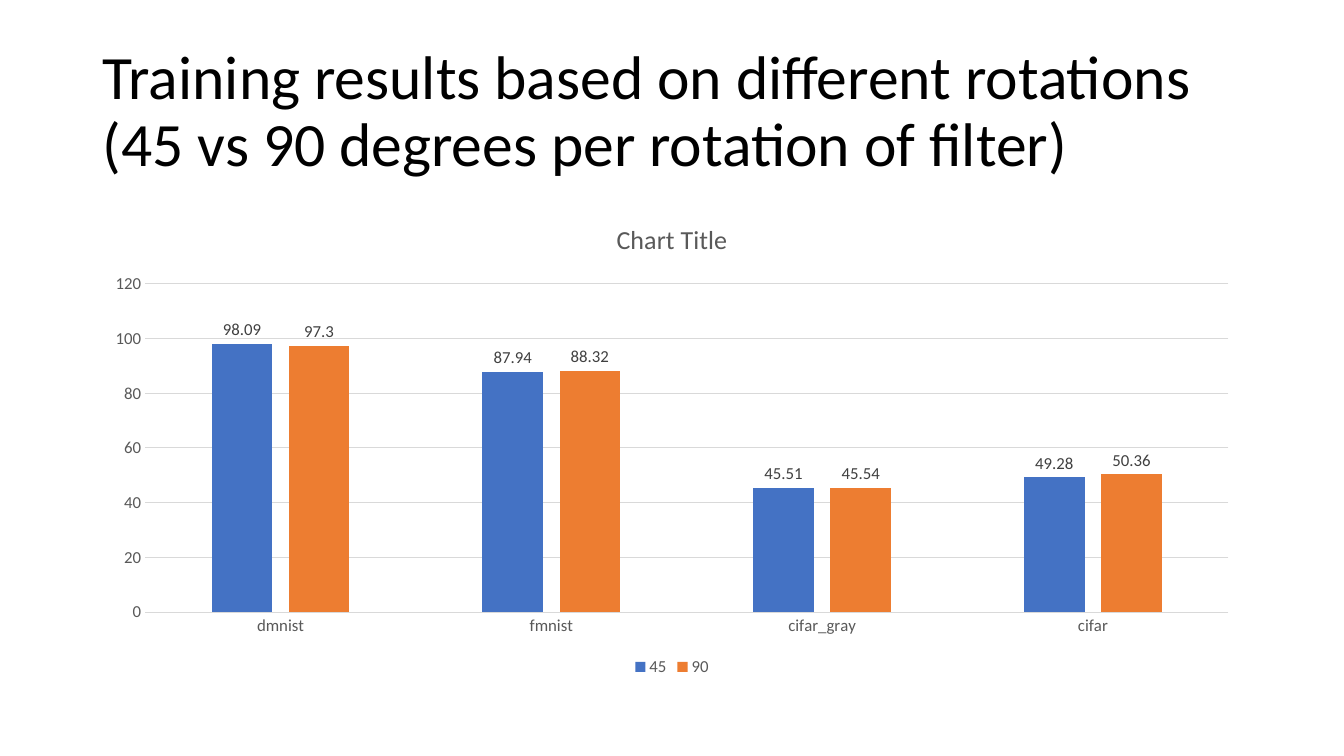
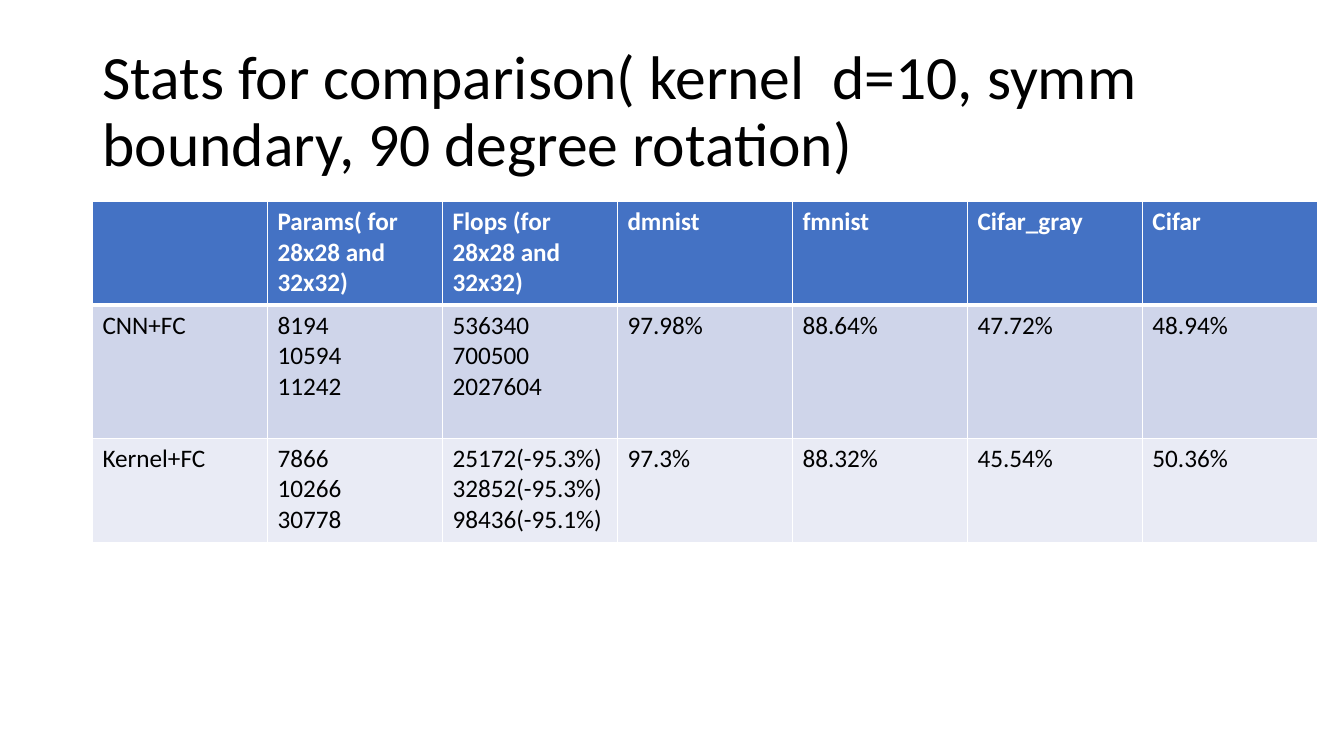
"""Build two slides comparing training results of rotated filter kernels."""
from lxml import etree
from pptx import Presentation
from pptx import util as u
from pptx.chart import data as chart_data
from pptx.dml import color
from pptx.enum import chart as ch
from pptx.enum import text
from pptx.oxml import ns

FONT = "Calibri"
COLOURS = {
    "title": "000000", "body": "000000", "white": "FFFFFF",
    "axis": "595959", "label": "404040", "grid": "D9D9D9",
    "blue": "4472C4", "orange": "ED7D31",
    "band_dark": "CFD5EA", "band_light": "E9EBF5",
}
TITLE_BOX = (u.Cm(2.33), u.Cm(1.01), u.Cm(29.21), u.Cm(3.68))
CHART_BOX = (u.Cm(2.33), u.Cm(5.07), u.Cm(29.21), u.Cm(12.09))
TABLE_BOX = (u.Cm(2.33), u.Cm(5.07), u.Cm(30.87), u.Cm(8.59))
ROW_HEIGHTS = (u.Cm(2.62), u.Cm(3.35), u.Cm(2.62))

DATASETS = ("dmnist", "fmnist", "cifar_gray", "cifar")
ACCURACY = (
    ("45", (98.09, 87.94, 45.51, 49.28), "blue"),
    ("90", (97.3, 88.32, 45.54, 50.36), "orange"),
)
STATS = (
    ("", "Params( for 28x28 and 32x32)", "Flops (for 28x28 and 32x32)",
     "dmnist", "fmnist", "Cifar_gray", "Cifar"),
    ("CNN+FC", "8194\n10594\n11242", "536340\n700500\n2027604",
     "97.98%", "88.64%", "47.72%", "48.94%"),
    ("Kernel+FC", "7866\n10266\n30778",
     "25172(-95.3%)\n32852(-95.3%)\n98436(-95.1%)",
     "97.3%", "88.32%", "45.54%", "50.36%"),
)
ROW_STYLES = (("blue", "white", True), ("band_dark", "body", False),
              ("band_light", "body", False))


def rgb(name):
    """Return the named palette colour."""
    return color.RGBColor.from_string(COLOURS[name])


def style_font(font, size, colour, bold=False):
    """Apply the deck's typeface with a size, colour and weight."""
    font.name = FONT
    font.size = u.Pt(size)
    font.bold = bold
    font.color.rgb = rgb(colour)


def style_runs(frame, size, colour, bold=False):
    """Format every run of a text frame alike."""
    for paragraph in frame.paragraphs:
        for run in paragraph.runs:
            style_font(run.font, size, colour, bold)


def add_titled_slide(deck, heading):
    """Add a title-only slide with the shared title style."""
    slide = deck.slides.add_slide(deck.slide_layouts[5])
    title = slide.shapes.title
    title.left, title.top, title.width, title.height = TITLE_BOX
    frame = title.text_frame
    frame.text = heading
    frame.auto_size = text.MSO_AUTO_SIZE.NONE
    frame.vertical_anchor = text.MSO_ANCHOR.MIDDLE
    frame.paragraphs[0].alignment = text.PP_ALIGN.LEFT
    frame.paragraphs[0].line_spacing = 0.9
    style_runs(frame, 44, "title")
    return slide


def style_axes(chart):
    """Give both axes grey text, no ticks and light lines."""
    categories, values = chart.category_axis, chart.value_axis
    for axis in (categories, values):
        axis.major_tick_mark = axis.minor_tick_mark = ch.XL_TICK_MARK.NONE
        style_font(axis.tick_labels.font, 12, "axis")
    values.minimum_scale, values.maximum_scale, values.major_unit = 0, 120, 20
    values.format.line.fill.background()
    for line in (categories.format.line, values.major_gridlines.format.line):
        line.color.rgb = rgb("grid")
        line.width = u.Pt(0.75)


def add_accuracy_chart(slide, box):
    """Place the clustered columns of accuracy per dataset in the box."""
    accuracy = chart_data.CategoryChartData()
    accuracy.categories = DATASETS
    for name, values, _ in ACCURACY:
        accuracy.add_series(name, values)
    chart = slide.shapes.add_chart(
        ch.XL_CHART_TYPE.COLUMN_CLUSTERED, *box, accuracy).chart
    style_font(chart.font, 10, "body")
    chart.has_title = True
    chart.chart_title.include_in_layout = False
    chart.chart_title.text_frame.text = "Chart Title"
    style_runs(chart.chart_title.text_frame, 18.6, "axis")
    chart.has_legend = True
    chart.legend.position = ch.XL_LEGEND_POSITION.BOTTOM
    chart.legend.include_in_layout = False
    style_font(chart.legend.font, 12, "axis")
    style_axes(chart)
    columns = chart.plots[0]
    columns.vary_by_categories = False
    columns.gap_width, columns.overlap = 219, -27
    for series, (_, _, colour) in zip(columns.series, ACCURACY):
        series.format.fill.solid()
        series.format.fill.fore_color.rgb = rgb(colour)
        labels = series.data_labels
        labels.show_value = True
        labels.position = ch.XL_LABEL_POSITION.OUTSIDE_END
        style_font(labels.font, 12, "label")


def add_borders(cell, bottom):
    """Draw white cell borders with the given bottom width in points."""
    properties = cell._tc.get_or_add_tcPr()
    for side, width in (("L", 1), ("R", 1), ("T", 1), ("B", bottom)):
        line = etree.SubElement(properties, ns.qn(f"a:ln{side}"),
                                w=str(u.Pt(width)))
        fill = etree.SubElement(line, ns.qn("a:solidFill"))
        etree.SubElement(fill, ns.qn("a:srgbClr"), val=COLOURS["white"])


def add_stats_table(slide, box):
    """Place the model comparison table in the box."""
    table = slide.shapes.add_table(len(STATS), len(STATS[0]), *box).table
    for row, height in zip(table.rows, ROW_HEIGHTS):
        row.height = height
    for r, (entries, (fill, ink, bold)) in enumerate(zip(STATS, ROW_STYLES)):
        for c, entry in enumerate(entries):
            cell = table.cell(r, c)
            add_borders(cell, 3 if r == 0 else 1)
            cell.fill.solid()
            cell.fill.fore_color.rgb = rgb(fill)
            cell.text_frame.text = entry
            style_runs(cell.text_frame, 18, ink, bold)


def main():
    """Build and save the deck."""
    deck = Presentation()
    deck.slide_width, deck.slide_height = u.Cm(33.87), u.Cm(19.05)
    rotations = add_titled_slide(
        deck, "Training results based on different rotations\v"
              "(45 vs 90 degrees per rotation of filter)")
    add_accuracy_chart(rotations, CHART_BOX)
    comparison = add_titled_slide(
        deck, "Stats for comparison( kernel  d=10, symm boundary, "
              "90 degree rotation)")
    add_stats_table(comparison, TABLE_BOX)
    deck.save("out.pptx")


if __name__ == "__main__":
    main()
